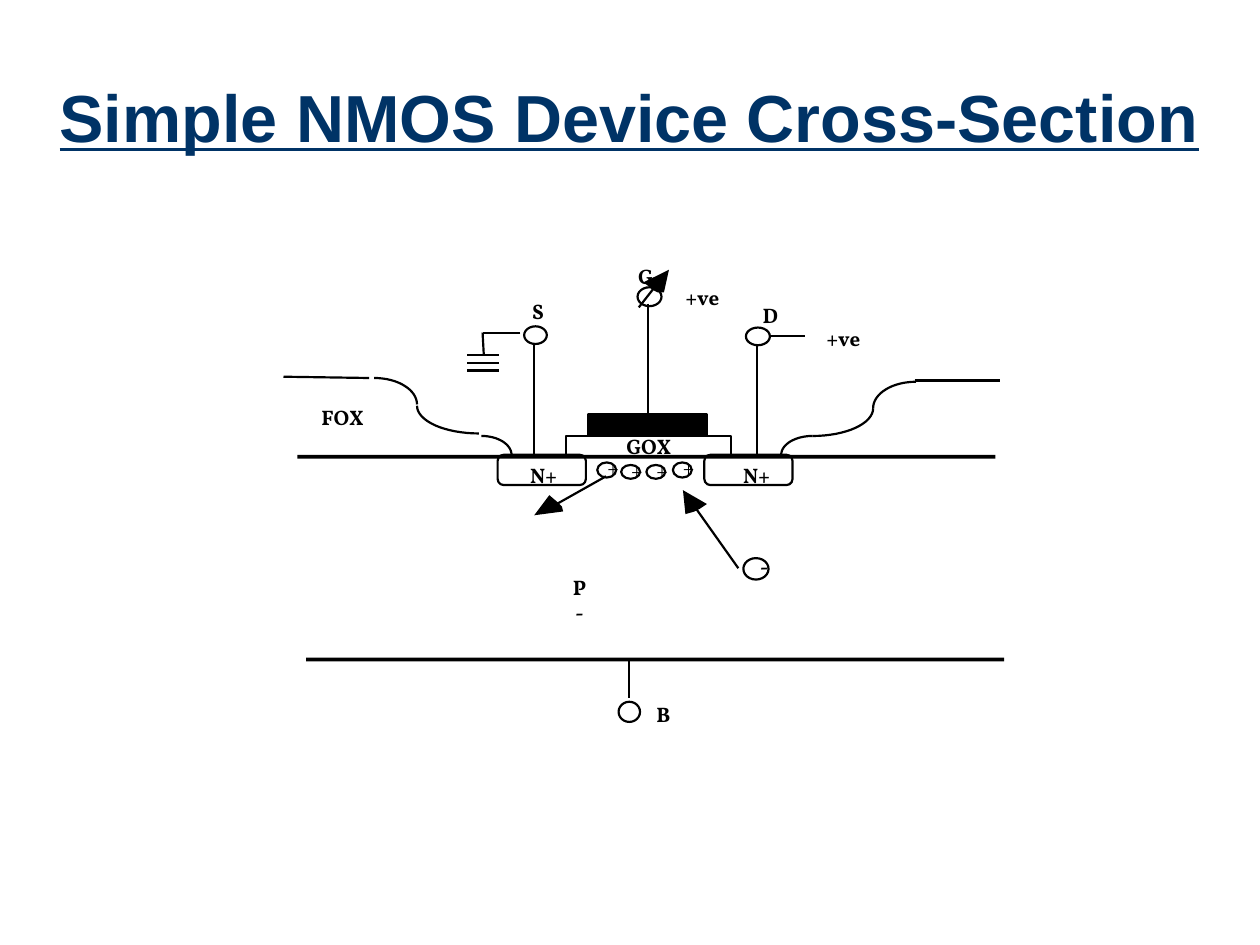
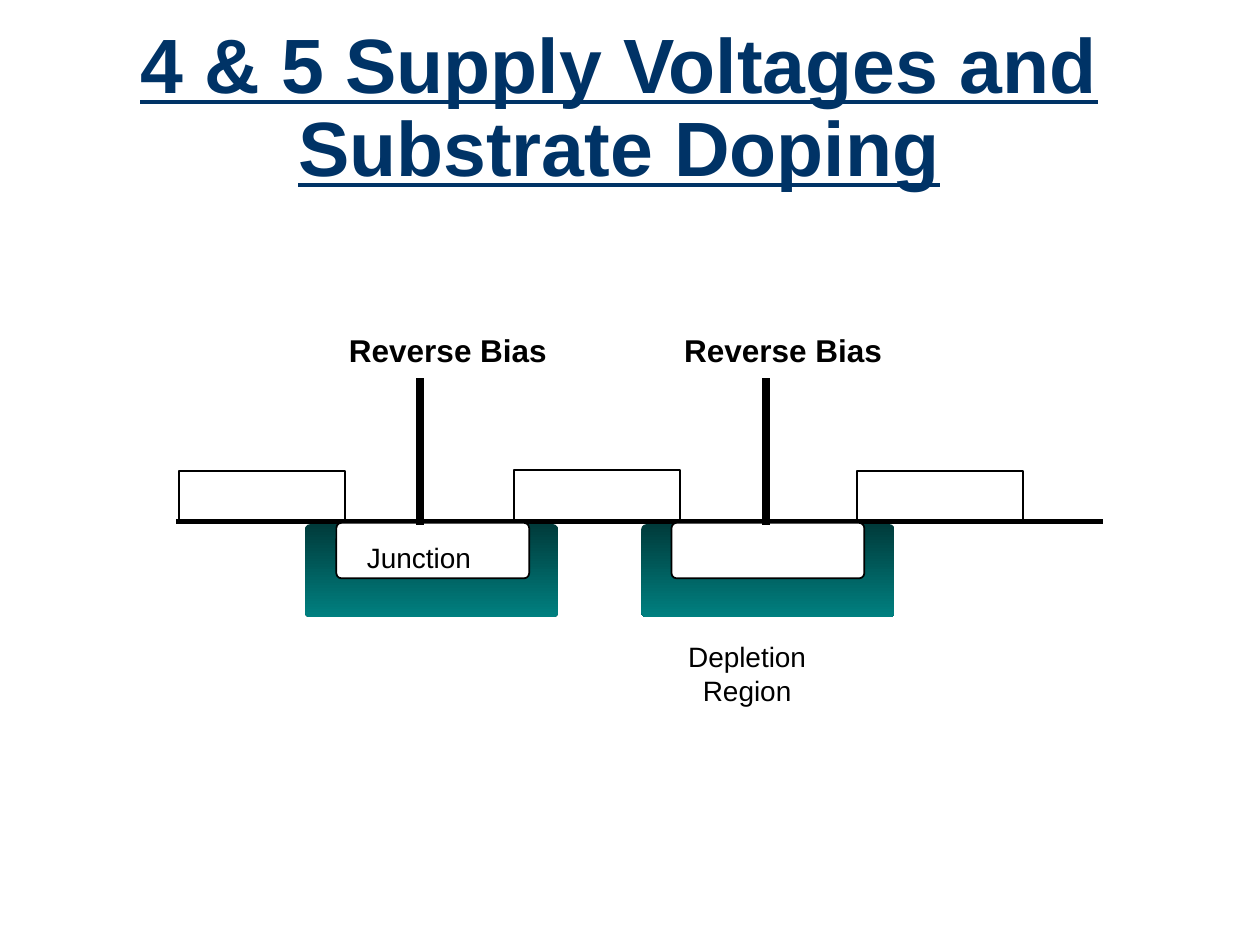
from dataclasses import dataclass
from math import cos, pi, sin

from lxml.etree import SubElement
from pptx import Presentation
from pptx.dml.color import RGBColor as RGB
from pptx.enum.shapes import MSO_CONNECTOR as CONN, MSO_SHAPE as SHAPE
from pptx.enum.text import MSO_ANCHOR as ANCHOR, PP_ALIGN as ALIGN
from pptx.oxml.ns import qn
from pptx.util import Inches, Pt


@dataclass(frozen=True)
class Theme:
    navy: RGB = RGB(0x00, 0x33, 0x66)
    black: RGB = RGB(0, 0, 0)
    white: RGB = RGB(255, 255, 255)
    dark_teal: RGB = RGB(0x00, 0x3B, 0x3B)
    teal: RGB = RGB(0x00, 0x80, 0x80)
    sans: str = "Arial"
    serif: str = "Vollkorn"
    mark: float = 12
    note: float = 16
    bias: float = 18
    thin: float = 1
    ink: float = 1.25
    surface: float = 3
    pin: float = 4.5


T = Theme()


def finish(sp, fill=None, weight=None):
    if hasattr(sp, "fill"):
        if fill is None:
            sp.fill.background()
        else:
            sp.fill.solid()
            sp.fill.fore_color.rgb = fill
    if weight is None:
        sp.line.fill.background()
    else:
        sp.line.color.rgb = T.black
        sp.line.width = Pt(weight)
    SubElement(sp._element.spPr, qn("a:effectLst"))
    return sp


def write(s, text, box, size, name=T.serif, color=T.black, bold=True,
          underline=False, wrap=False, inset=(0, 0), spacing=None):
    tf = s.shapes.add_textbox(*map(Inches, box)).text_frame
    x, y = map(Inches, inset)
    frame = {"margin_left": x, "margin_right": x, "margin_top": y, "margin_bottom": y,
             "word_wrap": wrap,
             "vertical_anchor": ANCHOR.MIDDLE if any(inset) else ANCHOR.TOP}
    for key, value in frame.items():
        setattr(tf, key, value)
    p = tf.paragraphs[0]
    p.alignment, p.line_spacing = ALIGN.CENTER, spacing
    r = p.add_run()
    r.text = text
    font = {"size": Pt(size), "name": name, "bold": bold, "underline": underline}
    for key, value in font.items():
        setattr(r.font, key, value)
    r.font.color.rgb = color


prs = Presentation()
prs.slide_width, prs.slide_height = Inches(10), Inches(7.5)

slides = []
for title, box, size in [
    ("Simple NMOS Device Cross-Section", (0.33, 0.42, 9.33, 1.08), 38),
    ("4 & 5 Supply Voltages and Substrate Doping", (0.25, 0.25, 9.33, 1.25), 44),
]:
    s = prs.slides.add_slide(prs.slide_layouts[6])
    write(s, title, box, size, T.sans, T.navy, underline=True, wrap=True,
          inset=(0.1, 0.05), spacing=0.9)
    slides.append(s)
nmos, doping = slides

s = nmos
for x, y in [(2.36, 3.61), (2.43, 5.22)]:
    sp = s.shapes.add_shape(SHAPE.RECTANGLE, *map(Inches, (x, y, 5.54, 0.03)))
    finish(sp, T.black)

for x in (3.95, 5.59):
    sp = s.shapes.add_shape(SHAPE.ROUNDED_RECTANGLE, *map(Inches, (x, 3.61, 0.7, 0.24)))
    sp.adjustments[0] = 0.2
    finish(sp, weight=T.ink)

gate_oxide = s.shapes.add_shape(SHAPE.RECTANGLE, *map(Inches, (4.49, 3.46, 1.31, 0.16)))
finish(gate_oxide, weight=T.ink)
gate = s.shapes.add_shape(SHAPE.RECTANGLE, *map(Inches, (4.67, 3.29, 0.94, 0.17)))
finish(gate, T.black, T.ink)

outlines = []
for fx, fy, sx, sy in [
    (2.97, 3, 3.31, 3.21), (3.8, 3.44, 3.31, 3.22), (3.82, 3.46, 4.06, 3.61),
    (7.27, 3.03, 6.93, 3.24), (6.45, 3.46, 6.93, 3.24), (6.45, 3.46, 6.2, 3.61),
]:
    angles = [pi / 2 * i / 16 for i in range(17)]
    arc = [(fx + (sx - fx) * sin(a), sy + (fy - sy) * cos(a)) for a in angles]
    outlines.append((arc, False, None, T.ink))
for head in [
    [(4.36, 3.93), (4.43, 3.99), (4.46, 4.02), (4.47, 4.06), (4.24, 4.09)],
    [(5.61, 4), (5.55, 4.04), (5.51, 4.06), (5.44, 4.08), (5.42, 3.89)],
    [(5.27, 2.32), (5.22, 2.32), (5.18, 2.3), (5.11, 2.24), (5.31, 2.14)],
]:
    outlines.append((head, True, T.black, None))
for points, closed, fill, weight in outlines:
    start, *rest = [(Inches(x), Inches(y)) for x, y in points]
    path = s.shapes.build_freeform(*start)
    path.add_line_segments(rest, close=closed)
    finish(path.convert_to_shape(), fill, weight)

for ends in [
    (2.25, 2.99, 2.93, 3), (7.26, 3.02, 7.94, 3.02),
    (4.24, 2.74, 4.24, 3.62), (6.01, 2.74, 6.01, 3.62),
    (4.81, 3.78, 4.33, 4.05), (5.86, 4.51, 5.47, 3.96), (5.25, 2.21, 5.07, 2.44),
    (4.13, 2.64, 3.83, 2.64), (3.83, 2.64, 3.84, 2.82),
    *[(3.71, y, 3.96, y) for y in (2.82, 2.88, 2.94)],
    (6.1, 2.67, 6.39, 2.67), (4.99, 5.23, 4.99, 5.54),
]:
    finish(s.shapes.add_connector(CONN.STRAIGHT, *map(Inches, ends)), weight=T.ink)
gate_wire = s.shapes.add_connector(CONN.STRAIGHT, *map(Inches, (5.14, 2.41, 5.14, 3.29)))
gate_wire.end_connect(gate, 0)
finish(gate_wire, weight=T.ink)

carriers = [(4.74, 3.67, 0.12), (4.93, 3.69, 0.11), (5.13, 3.69, 0.11), (5.34, 3.67, 0.12)]
for box in [
    (4.16, 2.59, 0.18, 0.14), (5.06, 2.28, 0.19, 0.15), (5.92, 2.6, 0.19, 0.14),
    (5.9, 4.43, 0.2, 0.17), (4.91, 5.57, 0.17, 0.16),
    *[(x, y, 0.15, h) for x, y, h in carriers],
]:
    finish(s.shapes.add_shape(SHAPE.OVAL, *map(Inches, box)), weight=T.ink)
for x, y, h in carriers:
    write(s, "+", (x + 0.08, y - 0.06, 0.09, 0.2), T.mark, bold=False)

for text, x, y, w in [
    ("S", 4.22, 2.37, 0.1), ("D", 6.05, 2.4, 0.13), ("G", 5.06, 2.09, 0.13),
    ("N+", 4.2, 3.67, 0.23), ("N+", 5.89, 3.67, 0.23), ("-", 6.03, 4.39, 0.05),
    ("+ve", 6.55, 2.58, 0.29), ("+ve", 5.43, 2.26, 0.29),
    ("GOX", 4.96, 3.44, 0.38), ("FOX", 2.54, 3.21, 0.36), ("B", 5.21, 5.57, 0.11),
]:
    write(s, text, (x, y, w, 0.2), T.mark)
write(s, "P-", (4.54, 4.56, 0.12, 0.2), T.mark, wrap=True)

s = doping
for x in (2.42, 5.09):
    sp = s.shapes.add_shape(SHAPE.ROUNDED_RECTANGLE, *map(Inches, (x, 4.16, 2.01, 0.74)))
    sp.adjustments[0] = 0.056
    finish(sp)
    sp.fill.gradient()
    sp.fill.gradient_angle = 270
    for stop, color in zip(sp.fill.gradient_stops, (T.dark_teal, T.teal)):
        stop.color.rgb = color

surface = s.shapes.add_connector(CONN.STRAIGHT, *map(Inches, (1.4, 4.14, 8.75, 4.14)))
finish(surface, weight=T.surface)

for x, y in [(1.42, 3.74), (4.08, 3.73), (6.8, 3.74)]:
    sp = s.shapes.add_shape(SHAPE.RECTANGLE, *map(Inches, (x, y, 1.32, 0.4)))
    finish(sp, weight=T.thin)

for x, pin_x, bias_x in [(2.67, 3.33, 2.67), (5.33, 6.08, 5.33)]:
    sp = s.shapes.add_shape(SHAPE.ROUNDED_RECTANGLE, *map(Inches, (x, 4.15, 1.53, 0.44)))
    sp.adjustments[0] = 0.091
    finish(sp, T.white, T.thin)
    pin = s.shapes.add_connector(CONN.STRAIGHT, *map(Inches, (pin_x, 3, pin_x, 4.17)))
    finish(pin, weight=T.pin)
    write(s, "Reverse Bias", (bias_x, 2.58, 1.77, 0.4), T.bias, T.sans, inset=(0.1, 0.05))

for text, box in [
    ("Junction", (2.91, 4.29, 0.83, 0.27)),
    ("Depletion Region", (5.08, 5.08, 1.7, 0.27)),
]:
    write(s, text, box, T.note, T.sans, bold=False)

prs.save("out.pptx")
